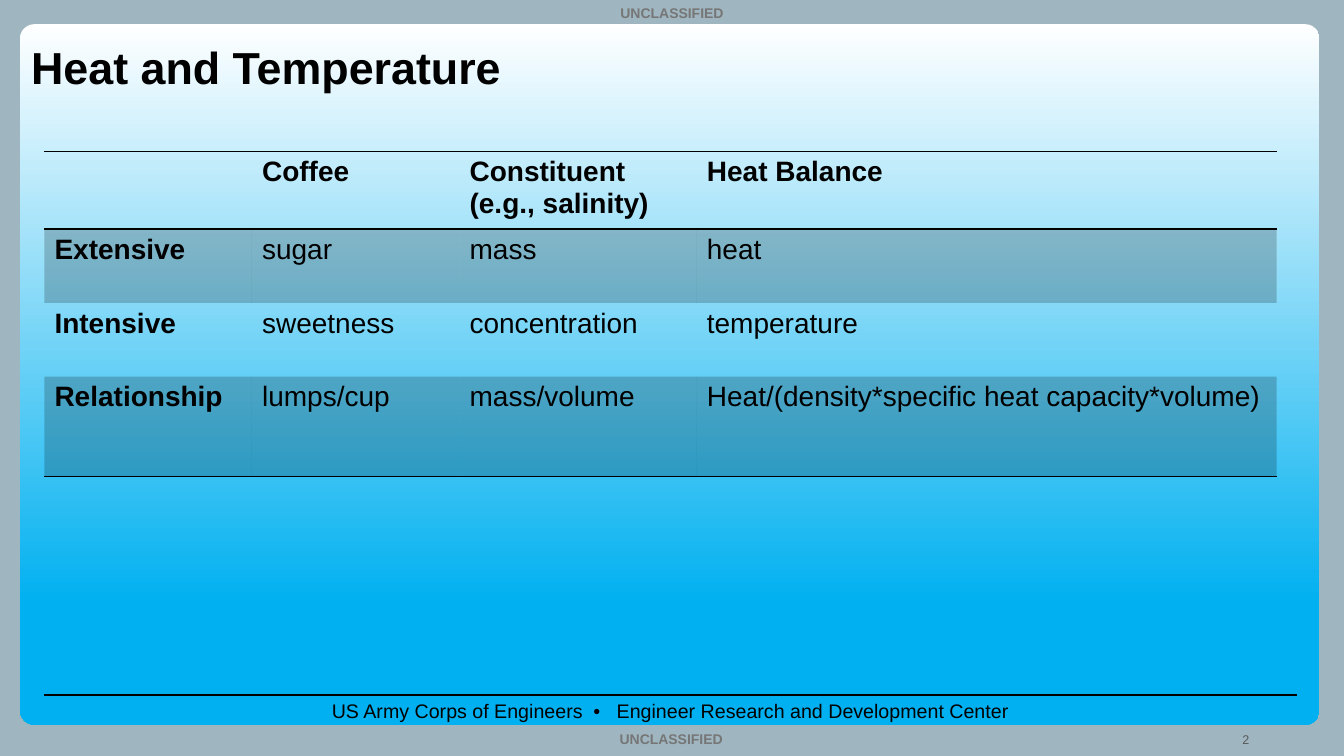
from lxml import etree
from pptx import Presentation
from pptx import util as u
from pptx.dml.color import RGBColor
from pptx.enum import shapes, text
from pptx.oxml.ns import qn

COLORS = {"backdrop": "9FB6C0", "ink": "000000", "top": "FFFFFF",
          "bottom": "00B0F0", "marking": "767676", "number": "595959"}
BAND_ALPHA = 20
ROWS = [
    ["", "Coffee", "Constituent (e.g., salinity)", "Heat Balance"],
    ["Extensive", "sugar", "mass", "heat"],
    ["Intensive", "sweetness", "concentration", "temperature"],
    ["Relationship", "lumps/cup", "mass/volume",
     "Heat/(density*specific heat capacity*volume)"],
]


def rgb(name):
    return RGBColor.from_string(COLORS[name])


def cm(*lengths):
    return [u.Cm(length) for length in lengths]


class SlideBuilder:
    font = "Arial"

    def __init__(self, deck):
        self.slide = deck.slides.add_slide(deck.slide_layouts[5])
        self.slide.background.fill.solid()
        self.slide.background.fill.fore_color.rgb = rgb("backdrop")

    def set_text(self, frame, words, size, color="ink", bold=False, align="LEFT"):
        frame.word_wrap = True
        frame.text = words
        paragraph = frame.paragraphs[0]
        paragraph.alignment = getattr(text.PP_ALIGN, align)
        font_format = {"name": self.font, "size": u.Pt(size), "bold": bold}
        for key, value in font_format.items():
            setattr(paragraph.font, key, value)
        paragraph.font.color.rgb = rgb(color)

    def panel(self, box, corner):
        panel = self.slide.shapes.add_shape(
            shapes.MSO_SHAPE.ROUNDED_RECTANGLE, *cm(*box))
        panel.adjustments[0] = corner
        panel.shadow.inherit = False
        panel.line.fill.background()
        panel.fill.gradient()
        panel.fill.gradient_angle = 270
        shades = [("top", 0), ("bottom", 0.83)]
        for stop, (color, position) in zip(panel.fill.gradient_stops, shades):
            stop.color.rgb = rgb(color)
            stop.position = position

    def title(self, box, words, size):
        title = self.slide.shapes.title
        # Bring the title in front of the panel
        self.slide.shapes._spTree.append(title._element)
        title.left, title.top, title.width, title.height = cm(*box)
        title.text_frame.vertical_anchor = text.MSO_ANCHOR.MIDDLE
        self.set_text(title.text_frame, words, size, bold=True)

    def label(self, box, words, size, **style):
        label = self.slide.shapes.add_textbox(*cm(*box))
        self.set_text(label.text_frame, words, size, **style)

    def rule(self, start, end, width):
        rule = self.slide.shapes.add_connector(
            shapes.MSO_CONNECTOR.STRAIGHT, *cm(*start, *end))
        rule.line.color.rgb = rgb("ink")
        rule.line.width = u.Pt(width)
        etree.SubElement(rule._element.spPr, qn("a:effectLst"))

    def borders(self, cell, ruled_sides):
        properties = cell._tc.get_or_add_tcPr()
        for index, side in enumerate("LRTB"):
            border = etree.Element(qn(f"a:ln{side}"), w=str(u.Pt(1)))
            if side in ruled_sides:
                solid = etree.SubElement(border, qn("a:solidFill"))
                etree.SubElement(solid, qn("a:srgbClr"), val=COLORS["ink"])
            else:
                etree.SubElement(border, qn("a:noFill"))
            properties.insert(index, border)

    def band(self, cell):
        cell.fill.solid()
        cell.fill.fore_color.rgb = rgb("ink")
        color = cell._tc.tcPr.find(".//" + qn("a:srgbClr"))
        etree.SubElement(color, qn("a:alpha"), val=str(BAND_ALPHA * 1000))

    def table(self, corner, rows, widths, heights, size):
        table = self.slide.shapes.add_table(
            len(rows), len(widths), *cm(*corner, sum(widths), sum(heights))).table
        table.first_row = table.horz_banding = False
        for column, width in zip(table.columns, widths):
            column.width = u.Cm(width)
        for row, height in zip(table.rows, heights):
            row.height = u.Cm(height)
        ruled = {0: "TB", 1: "T", len(rows) - 1: "B"}
        for r, row in enumerate(rows):
            for c, words in enumerate(row):
                cell = table.cell(r, c)
                self.set_text(cell.text_frame, words, size, bold=r == 0 or c == 0)
                if r % 2:
                    self.band(cell)
                else:
                    cell.fill.background()
                self.borders(cell, ruled.get(r, ""))


def main():
    deck = Presentation()
    deck.slide_width, deck.slide_height = cm(33.87, 19.05)
    heat = SlideBuilder(deck)

    # Frame and footer
    heat.panel((0.51, 0.61, 32.74, 17.65), 0.02)
    heat.rule((1.12, 17.52), (32.69, 17.52), 1.5)
    heat.label((1.14, 17.48, 31.52, 0.86),
               "US Army Corps of Engineers  •   Engineer Research and Development Center",
               14, align="CENTER")

    # Markings at the top and bottom edges
    for left, top in [(0, 0), (-0.02, 18.29)]:
        heat.label((left, top, 33.87, 0.68), "UNCLASSIFIED", 10,
                   color="marking", bold=True, align="CENTER")

    # Title and page number
    heat.title((0.53, 0.56, 31.04, 2.24), "Heat and Temperature", 32)
    heat.label((31.06, 18.31, 2.69, 1.02), "2", 9, color="number")

    # Comparison of extensive and intensive quantities
    heat.table((1.12, 3.82), ROWS, widths=[5.23, 5.23, 5.98, 14.61],
               heights=[1.86] * 3 + [2.51], size=20)

    deck.save("out.pptx")


if __name__ == "__main__":
    main()
